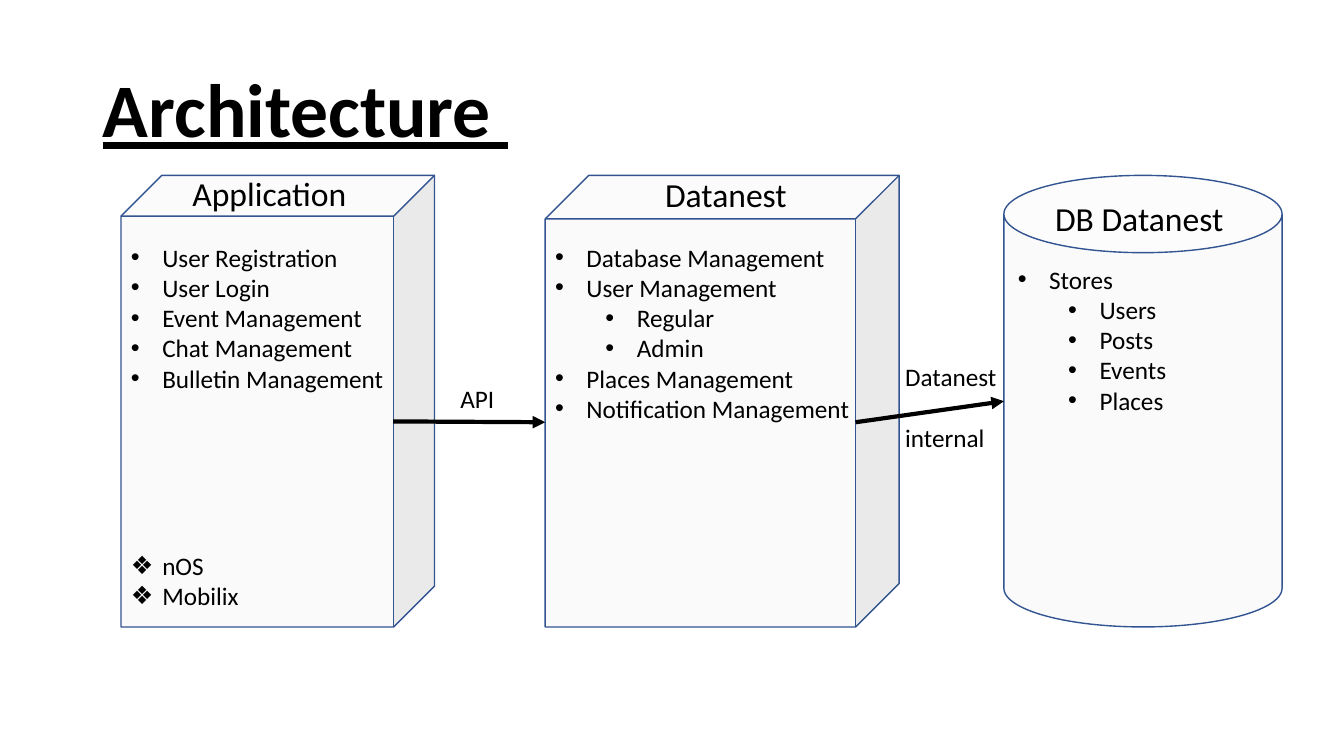
from lxml import etree
from pptx import Presentation
from pptx.dml.color import RGBColor
from pptx.enum.shapes import MSO_CONNECTOR, MSO_SHAPE
from pptx.enum.text import MSO_ANCHOR, PP_ALIGN
from pptx.oxml.ns import qn
from pptx.util import Cm, Pt

CUBE, CAN = MSO_SHAPE.CUBE, MSO_SHAPE.CAN
STRAIGHT = MSO_CONNECTOR.STRAIGHT
LEFT, MIDDLE = PP_ALIGN.LEFT, MSO_ANCHOR.MIDDLE

BLACK = RGBColor(0x00, 0x00, 0x00)
PALE_GREY = RGBColor(0xF2, 0xF2, 0xF2)
OUTLINE_BLUE = RGBColor(0x32, 0x54, 0x91)

FONT = "Calibri"
TITLE_ONLY = 5
BLOCK_TOP, BLOCK_HEIGHT = 4.42, 11.38
DOT, DIAMOND = "\u2022", "\u2756"
HANGING, LEVEL_STEP = 0.79, 1.27


def format_font(font, size):
    """Apply the slide's typeface and text colour."""
    font.name, font.size, font.color.rgb = FONT, Pt(size), BLACK


def add_title(slide, text):
    """Place and format the title placeholder."""
    title = slide.shapes.title
    title.left, title.top, title.width, title.height = (
        Cm(2.34), Cm(1.02), Cm(29.21), Cm(3.68))
    frame = title.text_frame
    frame.text, frame.vertical_anchor = text, MIDDLE
    paragraph = frame.paragraphs[0]
    paragraph.alignment, paragraph.line_spacing = LEFT, 0.9
    format_font(paragraph.font, 54)
    paragraph.font.bold = paragraph.font.underline = True


def add_block(slide, kind, left, width, adjustment):
    """Add one translucent component block."""
    shape = slide.shapes.add_shape(
        kind, Cm(left), Cm(BLOCK_TOP), Cm(width), Cm(BLOCK_HEIGHT))
    shape.adjustments[0] = adjustment
    shape.shadow.inherit = False
    shape.fill.solid()
    shape.fill.fore_color.rgb = PALE_GREY
    color = shape.fill._xPr.find(qn("a:solidFill"))[0]
    etree.SubElement(color, qn("a:alpha"), val="33000")
    shape.line.color.rgb, shape.line.width = OUTLINE_BLUE, Pt(1)


def add_text(slide, box, lines, size=18, wrap=True):
    """Add a text box and return its paragraphs."""
    frame = slide.shapes.add_textbox(*map(Cm, box)).text_frame
    frame.word_wrap = wrap
    frame.text = "\n".join(lines)
    for paragraph in frame.paragraphs:
        format_font(paragraph.font, size)
    return frame.paragraphs


def add_list(slide, box, items, bullet=DOT):
    """Add a bulleted list from (level, text) pairs."""
    paragraphs = add_text(slide, box, [text for _, text in items])
    for paragraph, (level, _) in zip(paragraphs, items):
        paragraph.level = level
        properties = paragraph._p.get_or_add_pPr()
        properties.set("marL", str(Cm(HANGING + level * LEVEL_STEP)))
        properties.set("indent", str(-Cm(HANGING)))
        # Bullet elements come before the default run properties.
        properties.insert(0, properties.makeelement(
            qn("a:buFont"), {"typeface": "Arial"}))
        properties.insert(1, properties.makeelement(
            qn("a:buChar"), {"char": bullet}))


def add_arrow(slide, start, end):
    """Add a thick arrow between two blocks."""
    arrow = slide.shapes.add_connector(STRAIGHT, *map(Cm, start + end))
    arrow.line.color.rgb, arrow.line.width = BLACK, Pt(3)
    etree.SubElement(arrow.line._get_or_add_ln(), qn("a:tailEnd"),
                     type="triangle")
    etree.SubElement(arrow._element.spPr, qn("a:effectLst"))


def main():
    """Build the architecture slide."""
    presentation = Presentation()
    presentation.slide_width, presentation.slide_height = Cm(33.87), Cm(19.05)
    slide = presentation.slides.add_slide(
        presentation.slide_layouts[TITLE_ONLY])
    add_title(slide, "Architecture ")

    for block in ((CUBE, 3.05, 7.9, 0.13), (CAN, 25.3, 7.01, 0.278),
                  (CUBE, 13.74, 8.92, 0.123)):
        add_block(slide, *block)

    for left, top, width, caption in ((4.6, 4.24, 7.14, "Application"),
                                      (26.34, 4.85, 4.95, "DB Datanest"),
                                      (16.51, 4.27, 3.99, "Datanest")):
        add_text(slide, (left, top, width, 1.27), [caption], size=24)

    add_list(slide, (3.05, 5.97, 7.9, 4.11), [
        (0, "User Registration"), (0, "User Login"), (0, "Event Management"),
        (0, "Chat Management"), (0, "Bulletin Management")])
    add_list(slide, (13.74, 5.97, 8.69, 4.88), [
        (0, "Database Management"), (0, "User Management"), (1, "Regular"),
        (1, "Admin"), (0, "Places Management"),
        (0, "Notification Management")])
    add_list(slide, (25.4, 6.53, 6.86, 4.11), [
        (0, "Stores"), (1, "Users"), (1, "Posts"), (1, "Events"),
        (1, "Places")])
    add_list(slide, (3.05, 13.74, 5.74, 1.8),
             [(0, "nOS"), (0, "Mobilix")], DIAMOND)

    add_arrow(slide, (9.91, 10.62), (13.74, 10.64))
    add_text(slide, (11.35, 9.53, 1.37, 1.02), ["API"], wrap=False)
    add_arrow(slide, (21.56, 10.64), (25.3, 10.11))
    link_label = add_text(slide, (22.56, 8.97, 3, 2.57),
                          ["Datanest", "internal"], wrap=False)
    link_label[1].space_before = Pt(22)

    presentation.save("out.pptx")


if __name__ == "__main__":
    main()
